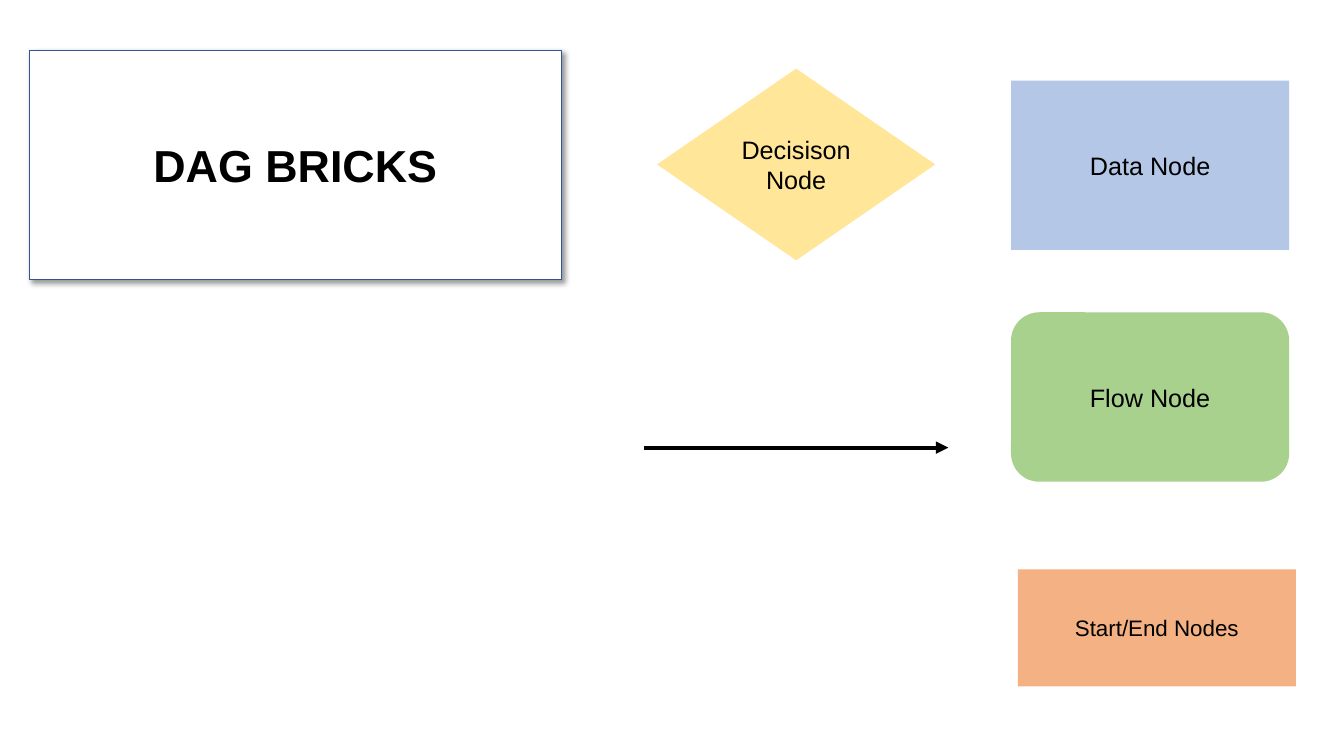
from dataclasses import dataclass
from typing import Optional

from lxml.etree import SubElement
from pptx import Presentation
from pptx.dml.color import RGBColor
from pptx.enum.shapes import MSO_CONNECTOR, MSO_SHAPE
from pptx.enum.text import MSO_ANCHOR, PP_ALIGN
from pptx.oxml.ns import qn
from pptx.slide import Slide
from pptx.util import Cm, Pt


@dataclass(frozen=True)
class Theme:
    font: str = "Arial"
    ink: str = "000000"
    paper: str = "FFFFFF"
    border: str = "325491"
    data: str = "B4C7E7"
    flow: str = "A9D18E"
    decision: str = "FFE699"
    terminal: str = "F4B183"
    title_size: int = 32
    node_size: int = 18
    small_size: int = 16


@dataclass(frozen=True)
class Brick:
    text: str
    shape: MSO_SHAPE
    left: float
    top: float
    width: float
    height: float
    fill: str
    size: int
    border: Optional[str] = None
    bold: bool = False
    shadow: bool = False


THEME = Theme()
NODE_W, NODE_H = 7.01, 4.27
COLUMN_X = 25.48

BRICKS = [
    Brick("Flow Node", MSO_SHAPE.ROUNDED_RECTANGLE, COLUMN_X, 7.87, NODE_W, NODE_H,
          THEME.flow, THEME.node_size),
    Brick("Decisison Node", MSO_SHAPE.DIAMOND, 16.56, 1.73, NODE_W, 4.83,
          THEME.decision, THEME.node_size),
    Brick("DAG BRICKS", MSO_SHAPE.RECTANGLE, 0.74, 1.27, 13.41, 5.77,
          THEME.paper, THEME.title_size, border=THEME.border, bold=True, shadow=True),
    Brick("Data Node", MSO_SHAPE.RECTANGLE, COLUMN_X, 2.03, NODE_W, NODE_H,
          THEME.data, THEME.node_size),
    Brick("Start/End Nodes", MSO_SHAPE.RECTANGLE, 25.65, 14.35, NODE_W, 2.95,
          THEME.terminal, THEME.small_size),
]


def rgb(color: str) -> RGBColor:
    return RGBColor.from_string(color)


def add_brick(s: Slide, brick: Brick) -> None:
    sp = s.shapes.add_shape(brick.shape, Cm(brick.left), Cm(brick.top),
                            Cm(brick.width), Cm(brick.height))
    sp.fill.solid()
    sp.fill.fore_color.rgb = rgb(brick.fill)
    if brick.border:
        sp.line.color.rgb = rgb(brick.border)
        sp.line.width = Pt(1)
    else:
        sp.line.fill.background()
    sp.shadow.inherit = False
    if brick.shadow:
        effects = sp._element.spPr.find(qn("a:effectLst"))
        shadow = SubElement(effects, qn("a:outerShdw"), blurRad=str(Pt(4)),
                            dist=str(Pt(3)), dir=str(45 * 60000), algn="tl",
                            rotWithShape="0")
        color = SubElement(shadow, qn("a:srgbClr"), val=THEME.ink)
        SubElement(color, qn("a:alpha"), val="40000")
    tf = sp.text_frame
    tf.word_wrap = True
    tf.vertical_anchor = MSO_ANCHOR.MIDDLE
    p = tf.paragraphs[0]
    p.text = brick.text
    p.alignment = PP_ALIGN.CENTER
    p.font.name = THEME.font
    p.font.size = Pt(brick.size)
    p.font.bold = brick.bold
    p.font.color.rgb = rgb(THEME.ink)


def add_arrow(s: Slide, left: float, right: float, y: float) -> None:
    cxn = s.shapes.add_connector(MSO_CONNECTOR.STRAIGHT, Cm(left), Cm(y), Cm(right), Cm(y))
    cxn.line.color.rgb = rgb(THEME.ink)
    cxn.line.width = Pt(3)
    sp_pr = cxn._element.spPr
    SubElement(sp_pr.find(qn("a:ln")), qn("a:tailEnd"), type="triangle")
    SubElement(sp_pr, qn("a:effectLst"))


def main() -> None:
    prs = Presentation()
    prs.slide_width, prs.slide_height = Cm(33.87), Cm(19.05)
    s = prs.slides.add_slide(prs.slide_layouts[6])
    for brick in BRICKS:
        add_brick(s, brick)
    add_arrow(s, 16.23, 23.9, 11.28)
    prs.save("out.pptx")


if __name__ == "__main__":
    main()
